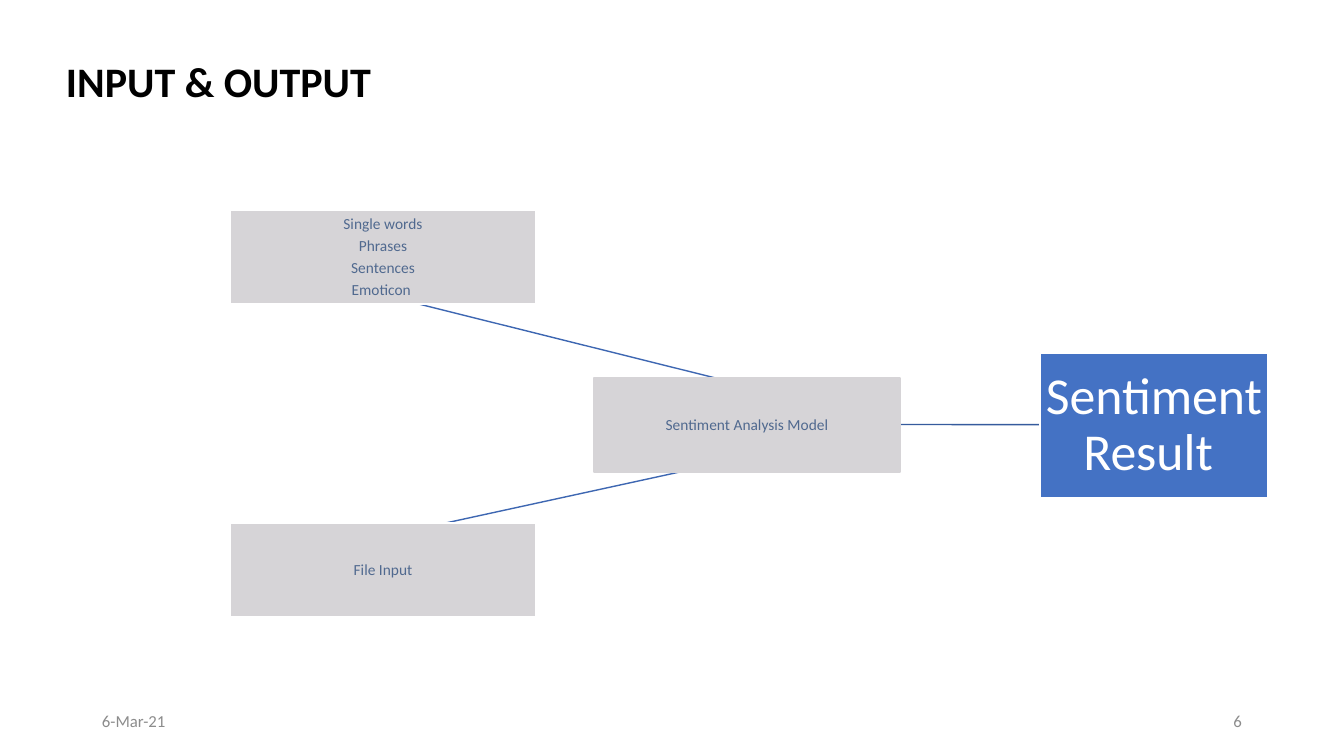
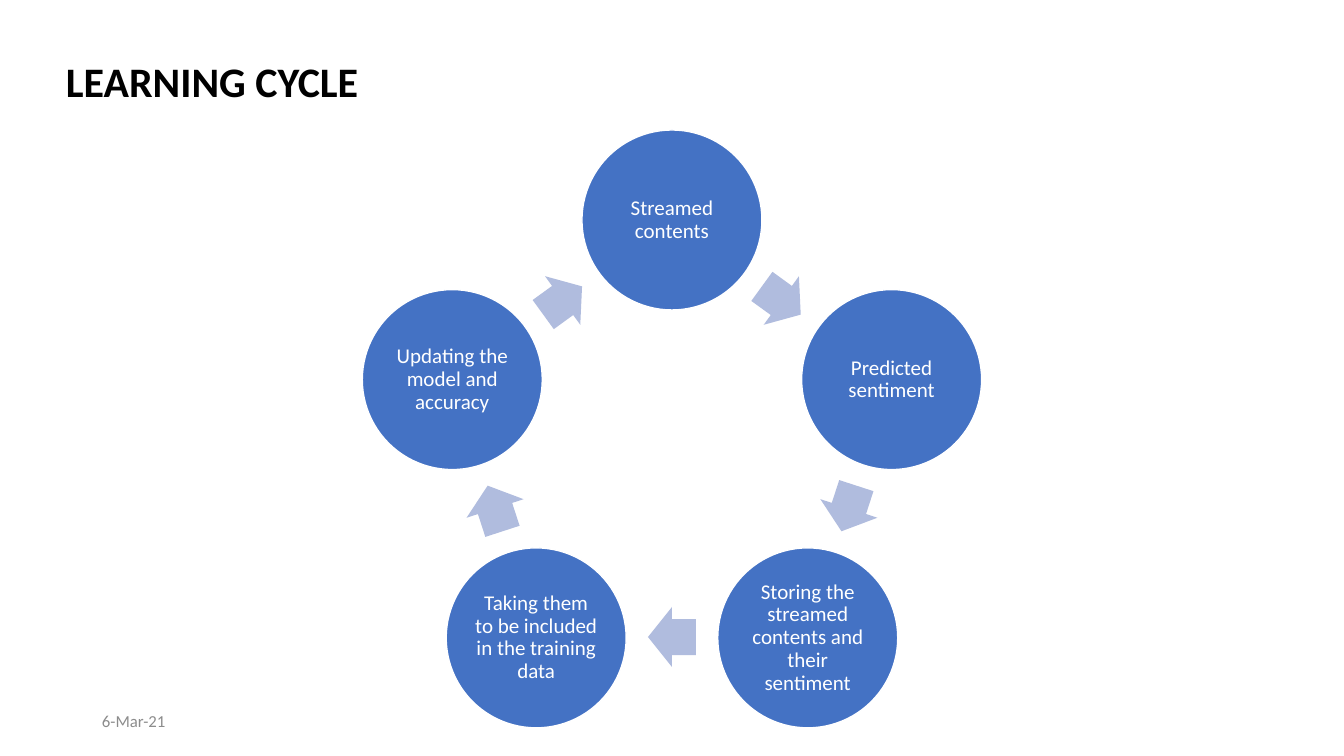
import math
from dataclasses import dataclass

import pptx
import pptx.dml.color
import pptx.enum.shapes
import pptx.enum.text
import pptx.oxml.ns
import pptx.util
from lxml import etree

SHAPE = pptx.enum.shapes.MSO_SHAPE
ALIGN = pptx.enum.text.PP_ALIGN
SCALE = 914400 / 100.8  # EMU in one px
SLIDE_SIZE = (1344, 756)


@dataclass(frozen=True)
class Theme:
    font: str = "Calibri"
    black: str = "000000"
    white: str = "FFFFFF"
    blue: str = "4472C4"
    pale_blue: str = "B0BCDE"
    box_grey: str = "D6D4D7"
    box_text: str = "50698F"
    footer_grey: str = "8C8C8C"
    input_line: str = "3E67B2"
    result_line: str = "365B9D"
    title_size: int = 30
    footer_size: int = 12
    box_size: int = 11
    result_size: int = 37
    circle_size: int = 15
    line_spacing: float = 0.9
    paragraph_gap: float = 0.35  # share of the type size


THEME = Theme()

# Content
DATE = "6-Mar-21"
FLOW_TITLE = "INPUT & OUTPUT"
FLOW_NUMBER = "6"
FLOW_LINES = [  # from, to, colour
    ((900, 424), (230, 570), THEME.input_line),
    ((900, 424), (230, 257), THEME.input_line),
    ((1227, 425), (594, 424), THEME.result_line),
]
BOX_SIZE = (306, 94)
FLOW_BOXES = [  # left, top, outline, lines of text
    (594, 378, THEME.box_grey, ["Sentiment Analysis Model"]),
    (230, 210, THEME.white, ["Single words", "Phrases", "Sentences", "Emoticon "]),
    (230, 523, THEME.white, ["File Input"]),
]
RESULT_TEXT = ["Sentiment Result "]
RESULT_AREA = (1040, 353, 228, 145)

CYCLE_TITLE = "LEARNING CYCLE"
CYCLE_STEPS = [
    "Streamed contents",
    "Predicted sentiment",
    "Storing the streamed contents and their sentiment",
    "Taking them to be included in the training data",
    "Updating the model and accuracy",
]
CYCLE_CENTRE = (672, 451)
CIRCLE_RADIUS, ARROW_RADIUS = 231, 186
CIRCLE_SIZE = (180, 180)
ARROW_SIZE = (48, 60)


def px(value):
    return pptx.util.Emu(round(value * SCALE))


def color(value):
    return pptx.dml.color.RGBColor.from_string(value)


def write(shape, lines, size, text_color, align=ALIGN.CENTER, inset=(1, 1),
          bold=False, spacing=THEME.line_spacing):
    frame = shape.text_frame
    frame.word_wrap = True
    frame.vertical_anchor = pptx.enum.text.MSO_ANCHOR.MIDDLE
    frame.margin_left = frame.margin_right = px(inset[0])
    frame.margin_top = frame.margin_bottom = px(inset[1])
    for index, line in enumerate(lines):
        paragraph = frame.add_paragraph() if index else frame.paragraphs[0]
        paragraph.alignment = align
        paragraph.line_spacing = spacing
        paragraph.space_after = pptx.util.Pt(size * THEME.paragraph_gap)
        run = paragraph.add_run()
        run.text = line
        run.font.name = THEME.font
        run.font.size = pptx.util.Pt(size)
        run.font.bold = bold
        run.font.color.rgb = color(text_color)


def add_label(slide, area, text, size, text_color, **style):
    label = slide.shapes.add_textbox(*map(px, area))
    write(label, [text], size, text_color, inset=(10, 5), **style)


def add_block(slide, kind, area, fill, outline=None):
    shape = slide.shapes.add_shape(kind, *map(px, area))
    shape.shadow.inherit = False
    shape.fill.solid()
    shape.fill.fore_color.rgb = color(fill)
    if outline:
        shape.line.color.rgb = color(outline)
        shape.line.width = pptx.util.Pt(1)
    else:
        shape.line.fill.background()
    return shape


def add_line(slide, start, end, line_color):
    line = slide.shapes.add_connector(
        pptx.enum.shapes.MSO_CONNECTOR.STRAIGHT, *map(px, (*start, *end)))
    line.line.color.rgb = color(line_color)
    line.line.width = pptx.util.Pt(1)
    properties = line._element.spPr
    etree.SubElement(properties, pptx.oxml.ns.qn("a:effectLst"))


def add_slide(presentation, title, number=None):
    """Blank slide with the shared title and footer."""
    slide = presentation.slides.add_slide(presentation.slide_layouts[6])
    add_label(slide, (56, 56, 1176, 56), title, THEME.title_size, THEME.black,
              align=ALIGN.LEFT, bold=True)
    for left, text, align in ((92, DATE, ALIGN.LEFT), (950, number, ALIGN.RIGHT)):
        if text:
            add_label(slide, (left, 701, 302, 40), text, THEME.footer_size,
                      THEME.footer_grey, align=align, spacing=1.0)
    return slide


def ring_area(angle, radius, size):
    """Area of a part centred on the ring, clockwise from the top."""
    turn = math.radians(angle)
    x = CYCLE_CENTRE[0] + radius * math.sin(turn)
    y = CYCLE_CENTRE[1] - radius * math.cos(turn)
    return (x - size[0] / 2, y - size[1] / 2, *size)


def build_flow(presentation):
    slide = add_slide(presentation, FLOW_TITLE, FLOW_NUMBER)
    for start, end, line_color in FLOW_LINES:
        add_line(slide, start, end, line_color)
    result = add_block(slide, SHAPE.RECTANGLE, RESULT_AREA, THEME.blue, THEME.white)
    write(result, RESULT_TEXT, THEME.result_size, THEME.white, inset=(3, 3))
    for left, top, outline, lines in FLOW_BOXES:
        box = add_block(slide, SHAPE.RECTANGLE, (left, top, *BOX_SIZE),
                        THEME.box_grey, outline)
        write(box, lines, THEME.box_size, THEME.box_text)


def build_cycle(presentation):
    slide = add_slide(presentation, CYCLE_TITLE)
    step_angle = 360 / len(CYCLE_STEPS)
    for index, text in enumerate(CYCLE_STEPS):
        angle = index * step_angle
        circle = add_block(slide, SHAPE.OVAL,
                           ring_area(angle, CIRCLE_RADIUS, CIRCLE_SIZE),
                           THEME.blue, THEME.white)
        write(circle, [text], THEME.circle_size, THEME.white, inset=(2, 2))
        # Arrow halfway to the next step
        angle += step_angle / 2
        arrow = add_block(slide, SHAPE.RIGHT_ARROW,
                          ring_area(angle, ARROW_RADIUS, ARROW_SIZE),
                          THEME.pale_blue)
        arrow.adjustments[0] = 0.6
        arrow.adjustments[1] = 0.5
        arrow.rotation = angle


def main():
    presentation = pptx.Presentation()
    presentation.slide_width, presentation.slide_height = map(px, SLIDE_SIZE)
    build_flow(presentation)
    build_cycle(presentation)
    presentation.save("out.pptx")


if __name__ == "__main__":
    main()
